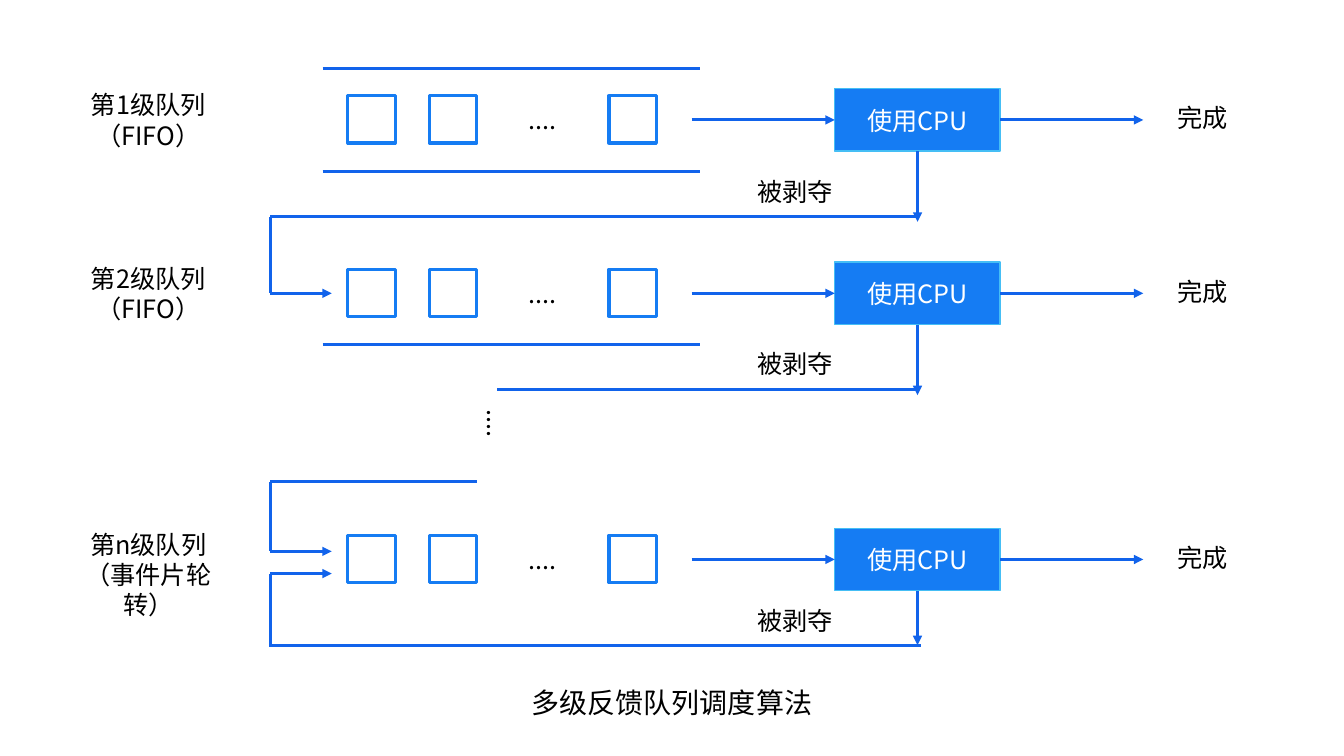
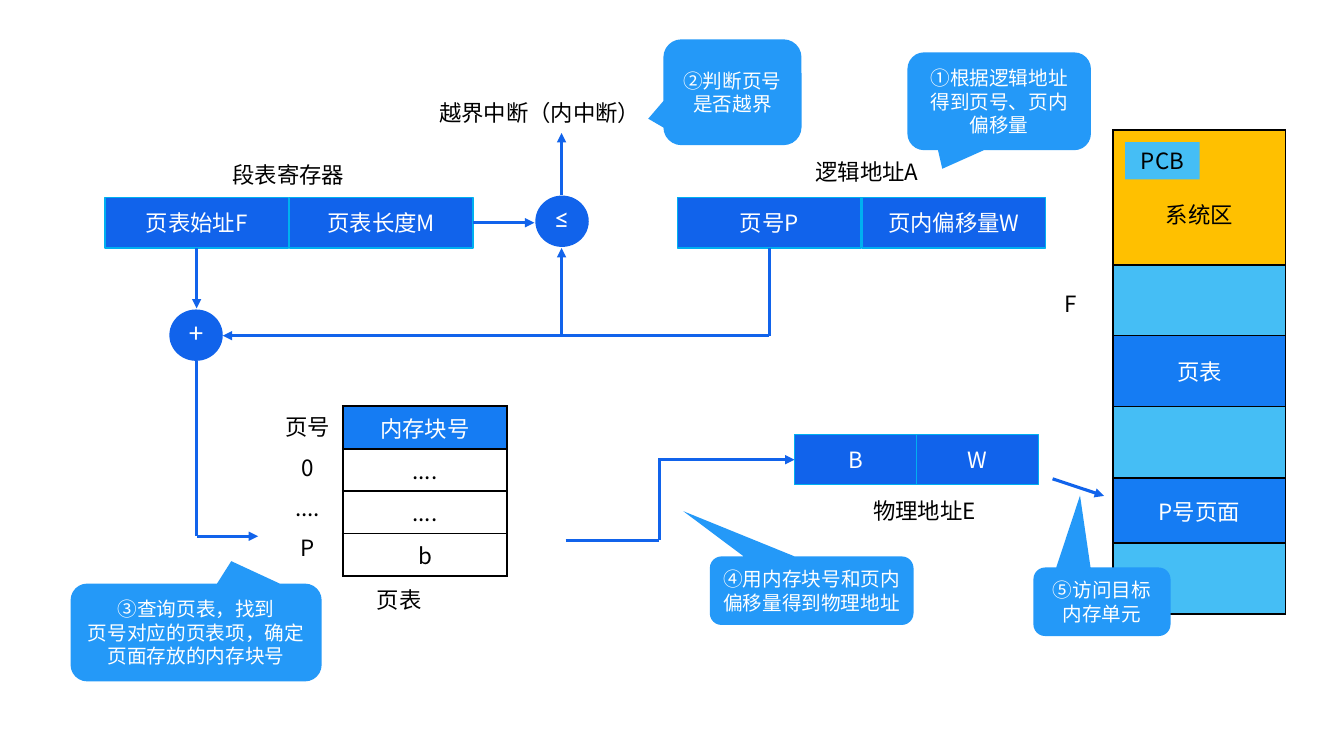
from lxml.etree import SubElement
from pptx import Presentation
from pptx.dml.color import RGBColor as RGB
from pptx.enum.shapes import MSO_CONNECTOR as LINK, MSO_SHAPE as FORM
from pptx.enum.text import MSO_ANCHOR as ANCHOR, MSO_AUTO_SIZE as FIT, PP_ALIGN as ALIGN
from pptx.oxml.ns import qn
from pptx.util import Pt

PX = 9144  # one px is a hundredth of an inch
DEEP = RGB(0x11, 0x63, 0xEB)
BLUE = RGB(0x15, 0x7C, 0xF3)
NOTE = RGB(0x24, 0x99, 0xF8)
SKY = RGB(0x45, 0xBE, 0xF5)
CYAN = RGB(0x00, 0xB0, 0xF0)
GOLD = RGB(0xFF, 0xC0, 0x00)
WHITE = RGB(0xFF, 0xFF, 0xFF)
BLACK = RGB(0, 0, 0)
SANS = "Noto Sans CJK SC"


def px(*nums):
    return [round(n * PX) for n in nums]


def put(item, **vals):
    for key, val in vals.items():
        setattr(item, key, val)


class Deck:
    def __init__(self):
        self.prs = Presentation()
        wide, high = px(1333, 750)
        put(self.prs, slide_width=wide, slide_height=high)

    def page(self, size):
        """Start a slide whose usual text size is given in points."""
        self.slide = self.prs.slides.add_slide(self.prs.slide_layouts[6])
        self.shapes = self.slide.shapes
        self.size = size

    def letter(self, frame, text, color=BLACK, size=None, font=SANS, gap=None):
        """Set text in a frame, one paragraph per line."""
        for i, words in enumerate(text.split("\n")):
            para = frame.add_paragraph() if i else frame.paragraphs[0]
            put(para, alignment=ALIGN.CENTER, line_spacing=gap)
            run = para.add_run()
            run.text = words
            put(run.font, name=font, size=Pt(size or self.size))
            run.font.color.rgb = color
            SubElement(run.font._element, qn("a:ea"), typeface=font)

    def label(self, text, x, y, w, h, size=None, gap=None, turn=0):
        box = self.shapes.add_textbox(*px(x, y, w, h))
        box.rotation = turn
        put(box.text_frame, word_wrap=True, auto_size=FIT.SHAPE_TO_FIT_TEXT)
        self.letter(box.text_frame, text, size=size, gap=gap)

    def block(self, x, y, w, h, text="", fill=None, edge=None, width=1,
              form=FORM.RECTANGLE, anchor=ANCHOR.MIDDLE, **style):
        shape = self.shapes.add_shape(form, *px(x, y, w, h))
        shape.shadow.inherit = False
        for paint, color in ((shape.fill, fill), (shape.line.fill, edge)):
            if color is None:
                paint.background()
            else:
                paint.solid()
                paint.fore_color.rgb = color
        if edge is not None:
            shape.line.width = Pt(width)
        if text:
            put(shape.text_frame, word_wrap=True, vertical_anchor=anchor)
            self.letter(shape.text_frame, text, **{"color": WHITE, **style})
        return shape

    def sign(self, text, x, y):
        self.block(x, y, 53, 51, text, DEEP, form=FORM.OVAL,
                   anchor=ANCHOR.BOTTOM, size=20, font="Calibri")

    def hint(self, text, x, y, w, h, *tail):
        shape = self.block(x, y, w, h, text, NOTE, size=14,
                           form=FORM.ROUNDED_RECTANGULAR_CALLOUT)
        for i, val in enumerate((*tail, 0.17)):
            shape.adjustments[i] = val

    def line(self, start, end, tip=False):
        """Each end is a point (x, y) or a joint (shape, side)."""
        ends = [e if isinstance(e[0], int) else (0, 0) for e in (start, end)]
        link = self.shapes.add_connector(LINK.STRAIGHT, *px(*ends[0], *ends[1]))
        for bind, spot in ((link.begin_connect, start), (link.end_connect, end)):
            if not isinstance(spot[0], int):
                bind(*spot)
        link.line.color.rgb = DEEP
        link.line.width = Pt(2.25)
        if tip:
            SubElement(link.line._get_or_add_ln(), qn("a:tailEnd"), type="triangle")
        SubElement(link._element.spPr, qn("a:effectLst"))

    def arrow(self, start, end):
        self.line(start, end, True)

    def stack(self, x, y, w, rows, rules):
        """One-column table: rows of (height, text, fill, ink); rules are line widths."""
        high = sum(row[0] for row in rows)
        table = self.shapes.add_table(len(rows), 1, *px(x, y, w, high)).table
        put(table, first_row=False, horz_banding=False)
        for i, (h, text, fill, ink) in enumerate(rows):
            table.rows[i].height = px(h)[0]
            cell = table.cell(i, 0)
            cell.vertical_anchor = ANCHOR.MIDDLE
            props = cell._tc.get_or_add_tcPr()
            sides = {"L": 1.5, "R": 1.5, "T": rules[i], "B": rules[i + 1]}
            for side, width in sides.items():
                edge = SubElement(props, qn("a:ln" + side), w=str(int(Pt(width))))
                paint = SubElement(edge, qn("a:solidFill"))
                SubElement(paint, qn("a:srgbClr"), val=str(BLACK))
            cell.fill.solid()
            cell.fill.fore_color.rgb = fill
            if text:
                self.letter(cell.text_frame, text, ink)
        return table


def queues(deck):
    deck.page(18)
    rows = [  # top, label, rails, note, drop
        (0, "第1级队列\n（FIFO）", (68, 170), 170, 220),
        (172, "第2级队列\n（FIFO）", (342,), 341, 392),
        (436, "第n级队列\n（事件片轮转）", (), 596, 640),
    ]
    for top, name, rails, note, drop in rows:
        mid = top + 119
        deck.label(name, 56, top + 84, 182, 71)
        for y in rails:
            deck.line((320, y), (694, y))
        for x in (345, 426, 604):
            deck.block(x, top + 95, 47, 47, edge=BLUE, width=2.25)
        deck.label("....", 486, top + 99, 105, 40)
        cpu = deck.block(828, top + 88, 164, 62, "使用CPU", BLUE, SKY)
        deck.arrow((686, mid), (cpu, 1))
        deck.arrow((cpu, 3), (1134, mid))
        deck.arrow((cpu, 2), (910, drop))
        deck.label("完成", 1148, top + 97, 90, 40)
        deck.label("被剥夺", 718, note, 141, 40)
    for x1, x2, y in ((268, 909, 215), (493, 909, 386),
                      (268, 473, 478), (267, 913, 640)):
        deck.line((x1, y), (x2, y))
    for y1, y2 in ((215, 291), (478, 547), (640, 569)):
        deck.line((268, y1), (268, y2))
        deck.arrow((268, y2), (329, y2))
    deck.label("....", 441, 400, 105, 40, turn=90)
    deck.label("多级反馈队列调度算法", 353, 675, 627, 44, size=20)


def paging(deck):
    deck.page(16)

    def pair(x, y, w, step, *names):
        return [deck.block(x + i * step, y, w, 50, name, DEEP, CYAN)
                for i, name in enumerate(names)]

    base, size = pair(104, 196, 182, 183, "页表始址F", "页表长度M")
    page, _ = pair(672, 196, 182, 183, "页号P", "页内偏移量W")
    frame, _ = pair(788, 431, 121, 121, "B", "W")
    deck.sign("+", 168, 307)
    deck.sign("≤", 531, 194)

    deck.arrow((size, 3), (530, 221))
    deck.arrow((base, 2), (195, 306))
    deck.line((195, 358), (195, 532))
    deck.arrow((195, 532), (256, 532))
    deck.arrow((557, 193), (557, 132))
    deck.line((page, 2), (763, 333))
    deck.arrow((763, 333), (221, 333))
    deck.arrow((557, 333), (557, 246))
    deck.line((561, 536), (654, 536))
    deck.line((654, 536), (654, 456))
    deck.arrow((653, 456), (frame, 1))
    deck.arrow((1044, 475), (1095, 492))

    deck.stack(340, 403, 163, [
        (40, "内存块号", BLUE, WHITE),
        *((40, text, WHITE, BLACK) for text in ("....", "....", "b")),
    ], (1.5, 1.5, 1, 1, 1.5))
    memory = deck.stack(1104, 129, 171, [
        (134, "系统区", GOLD, BLACK),
        (70, "", SKY, None),
        (70, "页表", BLUE, WHITE),
        (71, "", SKY, None),
        (65, "P号页面", BLUE, WHITE),
        (70, "", SKY, None),
    ], (1.5, 1.5, 1, 1, 1.5, 1.5, 1.5))
    memory.cell(0, 0).margin_top = px(37)[0]
    deck.block(1116, 141, 74, 37, "PCB", SKY, color=BLACK)

    for text, x, y, w in (
        ("段表寄存器", 195, 155, 182),
        ("越界中断（内中断）", 419, 93, 233),
        ("物理地址E", 830, 488, 174),
        ("逻辑地址A", 773, 152, 174),
        ("F", 1025, 283, 74),
    ):
        deck.label(text, x, y, w, 37)
    deck.label("页号\n0\n....\nP", 268, 392, 74, 172, gap=1.5)
    deck.label("页表", 359, 563, 74, 50, gap=1.5)

    deck.hint("①根据逻辑地址得到页号、页内偏移量", 900, 52, 182, 97, -0.31, 0.69)
    deck.hint("②判断页号是否越界", 658, 39, 137, 105, -0.61, 0.25)
    deck.hint("③查询页表，找到\n页号对应的页表项，确定页面存放的内存块号",
              70, 579, 249, 97, 0.14, -0.73)
    deck.hint("④用内存块号和页内偏移量得到物理地址", 704, 552, 202, 68, -0.63, -1.16)
    deck.hint("⑤访问目标内存单元", 1025, 563, 136, 68, -0.16, -1.55)


def main():
    deck = Deck()
    queues(deck)
    paging(deck)
    deck.prs.save("out.pptx")


if __name__ == "__main__":
    main()
